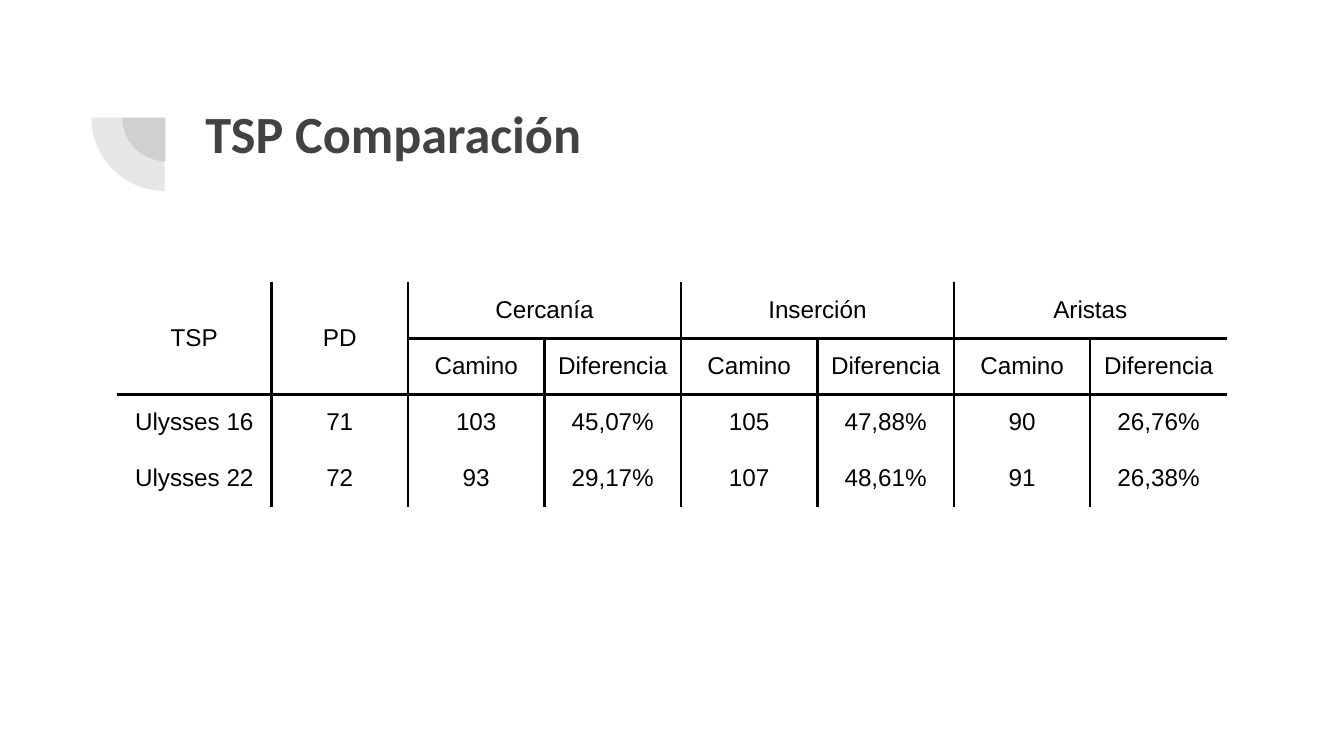
from dataclasses import dataclass

from lxml import etree
from pptx import Presentation
from pptx.dml.color import RGBColor
from pptx.enum import shapes, text
from pptx.oxml import ns
from pptx.util import Inches, Pt

GREY = RGBColor(0x42, 0x42, 0x42)
BLACK = RGBColor(0, 0, 0)
NO_STYLE = "{2D5ABB26-0587-4C30-8999-92F81FD0307C}"
BORDER = Pt(1.5)
MARGIN = Inches(0.1)

ROWS = [
    ["TSP", "PD", "Cercanía", "", "Inserción", "", "Aristas", ""],
    ["", ""] + ["Camino", "Diferencia"] * 3,
    ["Ulysses 16", "71", "103", "45,07%", "105", "47,88%", "90", "26,76%"],
    ["Ulysses 22", "72", "93", "29,17%", "107", "48,61%", "91", "26,38%"],
]
N_COLS = len(ROWS[0])
METHOD_COLS = (2, 4, 6)


@dataclass(frozen=True)
class Quarter:
    left: float
    top: float
    size: float


QUARTERS = [Quarter(0.91, 0.55, 0.65), Quarter(0.68, 0.33, 1.09)]


def sub(parent, tag: str, **attrs: str):
    return etree.SubElement(parent, ns.qn(tag), attrs)


def add_quarter(s, q: Quarter) -> None:
    sp = s.shapes.add_shape(shapes.MSO_SHAPE.PIE, Inches(q.left), Inches(q.top),
                            Inches(q.size), Inches(q.size))
    sp.adjustments[0] = 108
    sp.adjustments[1] = 162
    sp.rotation = 270
    sp.shadow.inherit = False
    sp.line.fill.background()
    sp.fill.solid()
    sp.fill.fore_color.rgb = GREY
    color = sp._element.spPr.find(".//" + ns.qn("a:srgbClr"))
    sub(color, "a:alpha", val="13000")


def add_run(p, content: str, font: str, size: float, color: RGBColor,
            bold: bool = False) -> None:
    r = p.add_run()
    r.text = content
    r.font.name = font
    r.font.size = Pt(size)
    r.font.bold = bold
    r.font.color.rgb = color


def set_margins(box) -> None:
    box.margin_left = box.margin_right = MARGIN
    box.margin_top = box.margin_bottom = MARGIN


def add_title(s, content: str) -> None:
    sp = s.shapes.add_textbox(Inches(1.43), Inches(0.65), Inches(7.69), Inches(1.09))
    tf = sp.text_frame
    tf.word_wrap = True
    tf.vertical_anchor = text.MSO_ANCHOR.TOP
    set_margins(tf)
    add_run(tf.paragraphs[0], content, "Calibri", 28, GREY, bold=True)


def vertical_rule(row: int, edge: int) -> bool:
    return 0 < edge < N_COLS and (row > 0 or edge == 1 or edge in METHOD_COLS)


def horizontal_rule(edge: int, col: int) -> bool:
    return edge == 2 or (edge == 1 and col >= METHOD_COLS[0])


def set_borders(cell, row: int, col: int) -> None:
    sides = {
        "a:lnL": vertical_rule(row, col),
        "a:lnR": vertical_rule(row, col + 1),
        "a:lnT": horizontal_rule(row, col),
        "a:lnB": horizontal_rule(row + 1, col),
    }
    tc_pr = cell._tc.get_or_add_tcPr()
    for tag, visible in sides.items():
        ln = sub(tc_pr, tag, w=str(BORDER))
        if visible:
            sub(sub(ln, "a:solidFill"), "a:srgbClr", val=str(BLACK))
        else:
            sub(ln, "a:noFill")


def add_comparison(s) -> None:
    first_w = Inches(1.15)
    other_w = Inches(7.11) // (N_COLS - 1)
    row_h = Inches(1.67) // len(ROWS)
    frame = s.shapes.add_table(len(ROWS), N_COLS, Inches(0.87), Inches(2.1),
                               first_w + other_w * (N_COLS - 1), row_h * len(ROWS))
    table = frame.table
    table.first_row = table.horz_banding = False
    table._tbl.tblPr.find(ns.qn("a:tableStyleId")).text = NO_STYLE
    for i, column in enumerate(table.columns):
        column.width = other_w if i else first_w
    for row, values in enumerate(ROWS):
        table.rows[row].height = row_h
        for col, value in enumerate(values):
            cell = table.cell(row, col)
            set_margins(cell)
            cell.vertical_anchor = text.MSO_ANCHOR.MIDDLE
            set_borders(cell, row, col)
            cell.fill.background()
            p = cell.text_frame.paragraphs[0]
            p.alignment = text.PP_ALIGN.CENTER
            if value:
                add_run(p, value, "Arial", 13, BLACK)
    for col in range(METHOD_COLS[0]):
        table.cell(0, col).merge(table.cell(1, col))
    for col in METHOD_COLS:
        table.cell(0, col).merge(table.cell(0, col + 1))


def main() -> None:
    prs = Presentation()
    prs.slide_width = Inches(10)
    prs.slide_height = prs.slide_width * 9 // 16
    s = prs.slides.add_slide(prs.slide_layouts[6])
    for q in QUARTERS:
        add_quarter(s, q)
    add_title(s, "TSP Comparación")
    add_comparison(s)
    prs.save("out.pptx")


if __name__ == "__main__":
    main()
